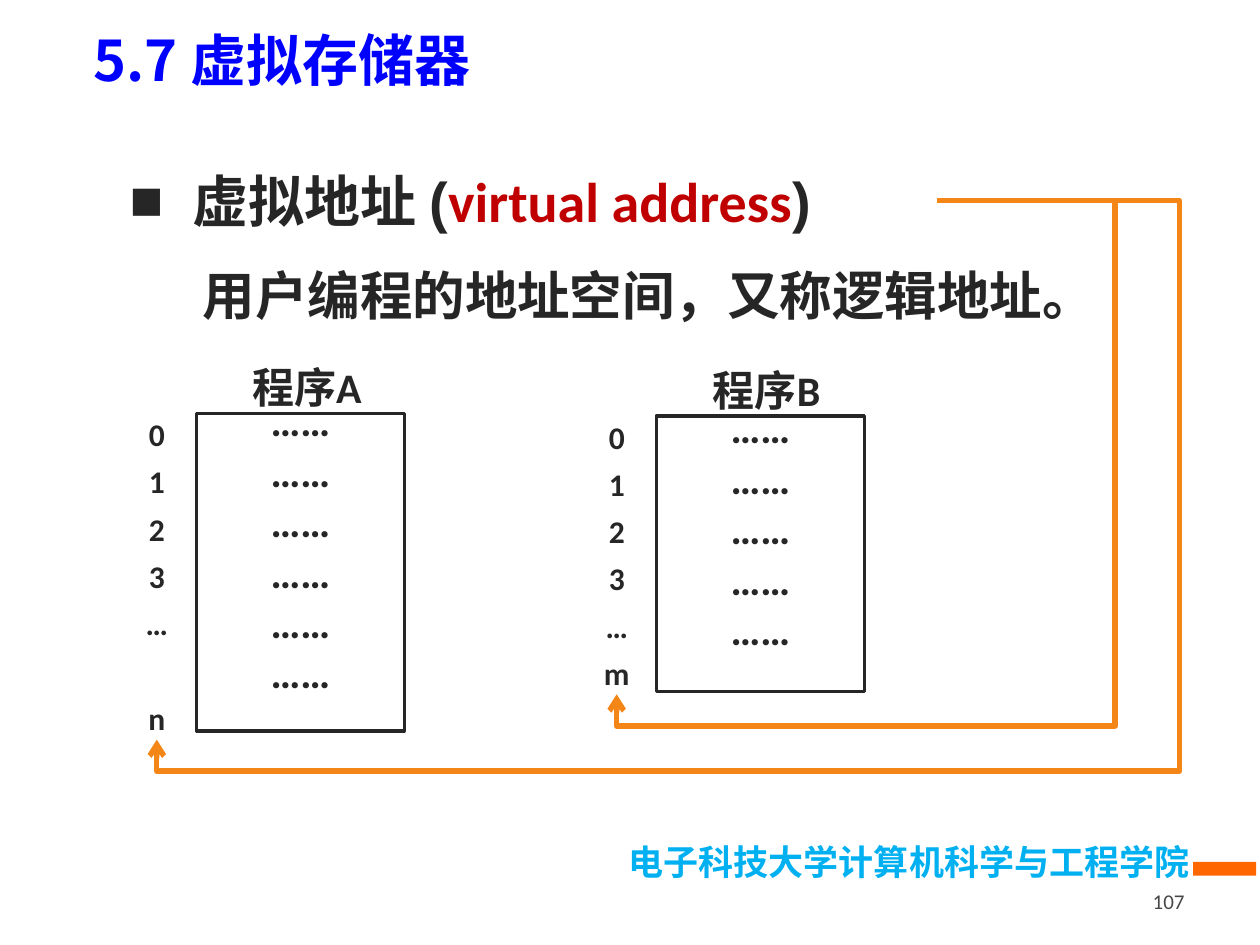
from lxml import etree
from pptx import Presentation
from pptx.dml.color import RGBColor
from pptx.enum.shapes import MSO_CONNECTOR, MSO_SHAPE
from pptx.enum.text import MSO_ANCHOR, PP_ALIGN
from pptx.oxml.ns import qn
from pptx.util import Inches, Pt

ELBOW, RECT = MSO_CONNECTOR.ELBOW, MSO_SHAPE.RECTANGLE
TOP, MID = MSO_ANCHOR.TOP, MSO_ANCHOR.MIDDLE
LEFT, CENTER, RIGHT = PP_ALIGN.LEFT, PP_ALIGN.CENTER, PP_ALIGN.RIGHT
CJK = "Noto Sans CJK SC"
INK = {"dark": "262626", "red": "C00000", "blue": "0000FF", "sky": "00B0F0",
       "bar": "FF6600", "wire": "F48618", "gray": "474747"}


def put_text(shape, paras, size, font="Calibri", color="dark", bold=True,
             align=LEFT, anchor=TOP, space=None, wrap=True, inset=None):
    """Each paragraph is a string or a list of (text, font, color) runs."""
    frame = shape.text_frame
    frame.word_wrap = wrap
    frame.vertical_anchor = anchor
    if inset is not None:
        frame.margin_left = frame.margin_right = Inches(inset)
        frame.margin_top = frame.margin_bottom = Inches(inset)
    for i, runs in enumerate(paras):
        para = frame.add_paragraph() if i else frame.paragraphs[0]
        para.alignment = align
        if space:
            para.line_spacing = space
        if isinstance(runs, str):
            runs = [(runs, font, color)]
        for text, face, tint in runs:
            run = para.add_run()
            run.text = text
            run.font.name = face
            run.font.size = Pt(size)
            run.font.bold = bold
            run.font.color.rgb = RGBColor.from_string(INK[tint])
            east = etree.SubElement(run.font._element, qn("a:ea"))
            east.set("typeface", CJK)
    return frame


def add_box(x, y, w, h):
    return slide.shapes.add_textbox(Inches(x), Inches(y), Inches(w), Inches(h))


prs = Presentation()
prs.slide_width, prs.slide_height = Inches(10), Inches(7.5)
slide = prs.slides.add_slide(prs.slide_layouts[6])

# Footer
put_text(add_box(0.82, 6.62, 8.72, 0.44), ["电子科技大学计算机科学与工程学院"], 20,
         font=CJK, color="sky", align=RIGHT)
bar = slide.shapes.add_shape(RECT, Inches(9.47), Inches(6.84), Inches(0.5), Inches(0.11))
bar.shadow.inherit = False
bar.fill.solid()
bar.fill.fore_color.rgb = RGBColor.from_string(INK["bar"])
bar.line.fill.background()

# Term and its meaning
term = put_text(add_box(0.93, 1.27, 6.51, 0.64), [[
    ("虚拟地址 (", "Arial", "dark"), ("virtual address", "Calibri", "red"),
    (")", "Arial", "dark")]], 32)
props = term.paragraphs[0]._p.get_or_add_pPr()
props.set("marL", str(Inches(0.5)))
props.set("indent", str(-Inches(0.5)))
etree.SubElement(props, qn("a:buFont")).set("typeface", "Arial")
etree.SubElement(props, qn("a:buChar")).set("char", "■")
mean = put_text(add_box(1.11, 1.91, 8.43, 0.65), ["用户编程的地址空间，又称逻辑地址。"],
                30, font="Arial", space=1.25)
mean.paragraphs[0]._p.get_or_add_pPr().set("indent", str(Inches(0.4)))

# Programs: name, left, top, height, rows, last address, gap before it,
# height of the address list, right edge of the wire
programs = [("A", 1.56, 3.28, 2.52, 6, "n", 27, 2.65, 9.36),
            ("B", 5.21, 3.3, 2.19, 5, "m", 0, 2.27, 8.85)]
start_x, start_y, drop = 7.44, 1.59, 0.25
for name, x, y, high, rows, last, gap, span, edge in programs:
    put_text(add_box(x - 0.03, y - 0.56, 1.81, 0.56),
             [[("程序", "Arial", "dark"), (name, "Calibri", "dark")]], 24,
             align=CENTER, space=1.25)

    block = slide.shapes.add_shape(RECT, Inches(x), Inches(y), Inches(1.65), Inches(high))
    block.shadow.inherit = False
    block.fill.background()
    block.line.color.rgb = RGBColor.from_string(INK["dark"])
    block.line.width = Pt(2)
    cells = put_text(block, ["……"] * rows, 24, align=CENTER, anchor=MID, wrap=False)
    cells.margin_bottom = Inches(0.46)

    marks = put_text(add_box(x - 0.77, y - 0.06, 0.91, span),
                     ["0", "1", "2", "3", "…", last], 18,
                     align=CENTER, space=1.25, inset=0)
    if gap:
        marks.paragraphs[-1].space_before = Pt(gap)

    end_x, end_y = x - 0.77 + 0.455, y - 0.06 + span
    wire = slide.shapes.add_connector(ELBOW, Inches(start_x), Inches(start_y),
                                      Inches(end_x), Inches(end_y))
    wire.line.color.rgb = RGBColor.from_string(INK["wire"])
    wire.line.width = Pt(3)
    geom = wire._element.spPr.find(qn("a:prstGeom"))
    geom.set("prst", "bentConnector4")
    guides = geom.find(qn("a:avLst"))
    if guides is None:
        guides = etree.SubElement(geom, qn("a:avLst"))
    turns = [(start_x - edge) / (start_x - end_x), 1 + drop / (end_y - start_y)]
    for n, turn in enumerate(turns, 1):
        guide = etree.SubElement(guides, qn("a:gd"))
        guide.set("name", f"adj{n}")
        guide.set("fmla", f"val {round(turn * 100000)}")
    etree.SubElement(wire.line._get_or_add_ln(), qn("a:tailEnd")).set("type", "arrow")
    etree.SubElement(wire._element.spPr, qn("a:effectLst"))

# Title and page number
put_text(add_box(0.64, 0.09, 8.96, 0.75), ["5.7 虚拟存储器"], 32,
         font=CJK, color="blue", anchor=MID)
put_text(add_box(7.17, 6.95, 2.33, 0.4), ["107"], 12, color="gray", bold=False,
         align=RIGHT, anchor=MID)

prs.save("out.pptx")
